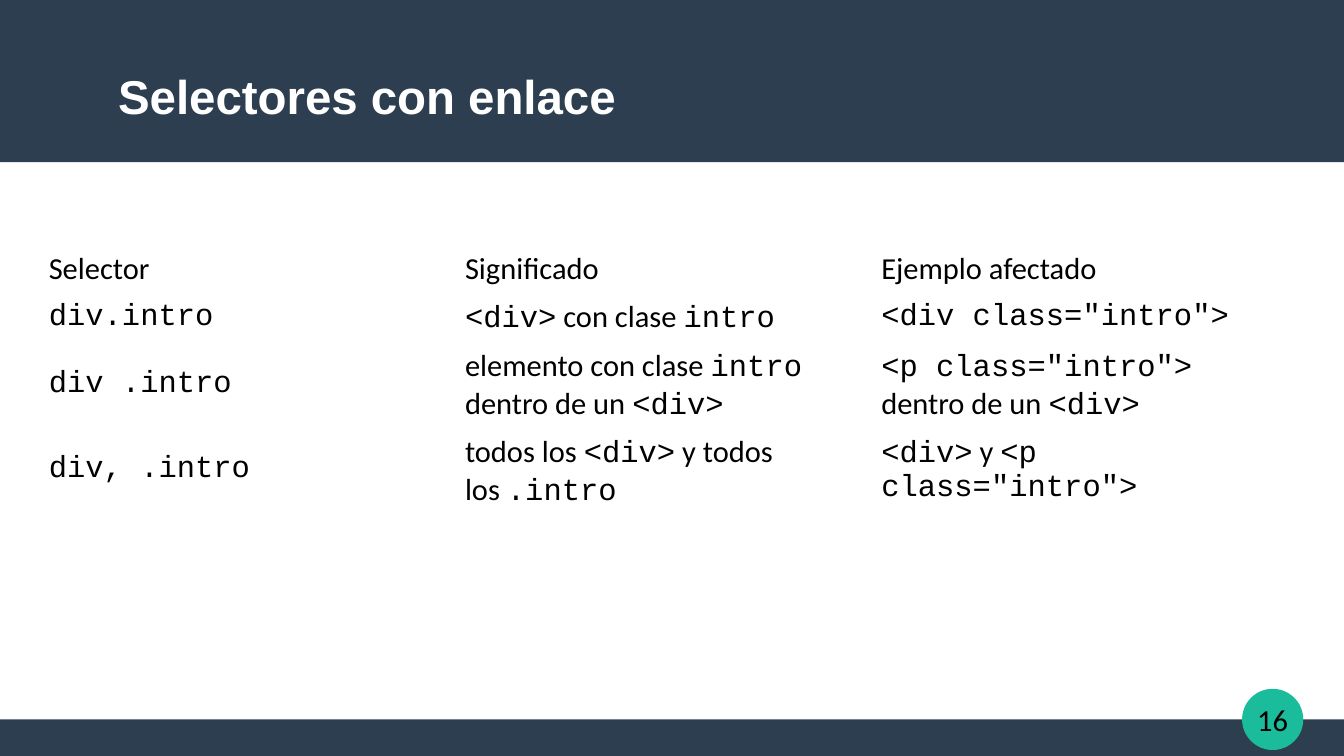
from dataclasses import dataclass
from pptx import Presentation
from pptx.dml.color import RGBColor
from pptx.enum.shapes import MSO_SHAPE
from pptx.enum.text import MSO_ANCHOR, PP_ALIGN
from pptx.util import Inches, Pt


@dataclass(frozen=True)
class Theme:
    navy: RGBColor = RGBColor(0x2C, 0x3E, 0x50)
    teal: RGBColor = RGBColor(0x1A, 0xBC, 0x9C)
    black: RGBColor = RGBColor(0, 0, 0)
    white: RGBColor = RGBColor(255, 255, 255)
    head: str = "Arial"
    body: str = "Calibri"
    code: str = "Courier New"
    large: float = 28
    small: float = 18


THEME = Theme()
WIDTH, HEIGHT = 11.02, 6.2
ROWS = [
    ["Selector", "Significado", "Ejemplo afectado"],
    ["`div.intro`", "`<div>` con clase `intro`", '`<div class="intro">`'],
    ["`div .intro`", "elemento con clase `intro` dentro de un `<div>`",
     '`<p class="intro">` dentro de un `<div>`'],
    ["`div, .intro`", "todos los `<div>` y todos los `.intro`",
     '`<div>` y `<p class="intro">`'],
]


def style(run, face, size, color, bold=False):
    font = run.font
    font.name, font.size, font.bold = face, Pt(size), bold
    font.color.rgb = color


def add_block(slide, kind, box, color):
    shape = slide.shapes.add_shape(kind, *map(Inches, box))
    shape.shadow.inherit = False
    shape.fill.solid()
    shape.fill.fore_color.rgb = color
    shape.line.fill.background()
    return shape


def add_label(slide, box, text, face, size, color, bold=False):
    frame = slide.shapes.add_textbox(*map(Inches, box)).text_frame
    frame.word_wrap = True
    frame.text = text
    style(frame.paragraphs[0].runs[0], face, size, color, bold)
    return frame


def add_header(slide, box, title):
    left, top, width, height = box
    add_block(slide, MSO_SHAPE.RECTANGLE, box, THEME.navy)
    add_label(slide, (left + 0.87, top + 0.5, width / 2, 0.57), title,
              THEME.head, THEME.large, THEME.white, True)


def add_footer(slide, box, number):
    left, top, width, height = box
    add_block(slide, MSO_SHAPE.RECTANGLE, box, THEME.navy)
    size = 0.49
    badge = left + width - 0.83, top - size / 2, size, size
    disc = add_block(slide, MSO_SHAPE.OVAL, badge, THEME.teal)
    disc.line.color.rgb = THEME.teal
    disc.line.width = Pt(0.85)
    frame = add_label(slide, (badge[0] - 0.15, badge[1] - 0.05, 0.79, 0.59),
                      number, THEME.body, THEME.small, THEME.black)
    frame.margin_left = frame.margin_right = 0
    frame.margin_top = frame.margin_bottom = 0
    frame.vertical_anchor = MSO_ANCHOR.MIDDLE
    frame.paragraphs[0].alignment = PP_ALIGN.CENTER


def fill_cell(cell, text):
    cell.fill.background()
    cell.vertical_anchor = MSO_ANCHOR.MIDDLE
    para = cell.text_frame.paragraphs[0]
    for index, part in enumerate(text.split("`")):
        if part:
            run = para.add_run()
            run.text = part
            face = THEME.code if index % 2 else THEME.body
            style(run, face, THEME.small, THEME.black)


def add_grid(slide, box, rows, heights):
    frame = slide.shapes.add_table(len(rows), len(rows[0]), *map(Inches, box))
    table = frame.table
    table.first_row = table.horz_banding = False
    for column in table.columns:
        column.width = Inches(box[2] / len(rows[0]))
    for row, height, texts in zip(table.rows, heights, rows):
        row.height = Inches(height)
        for cell, text in zip(row.cells, texts):
            fill_cell(cell, text)


def main():
    deck = Presentation()
    deck.slide_width, deck.slide_height = Inches(WIDTH), Inches(HEIGHT)
    slide = deck.slides.add_slide(deck.slide_layouts[6])
    add_footer(slide, (0, HEIGHT - 0.3, WIDTH, 0.3), "16")
    add_grid(slide, (0.3, 2, 10.24, 2.2), ROWS, [0.4, 0.4, 0.7, 0.7])
    add_header(slide, (0, 0, WIDTH, 1.33), "Selectores con enlace")
    deck.save("out.pptx")


if __name__ == "__main__":
    main()
